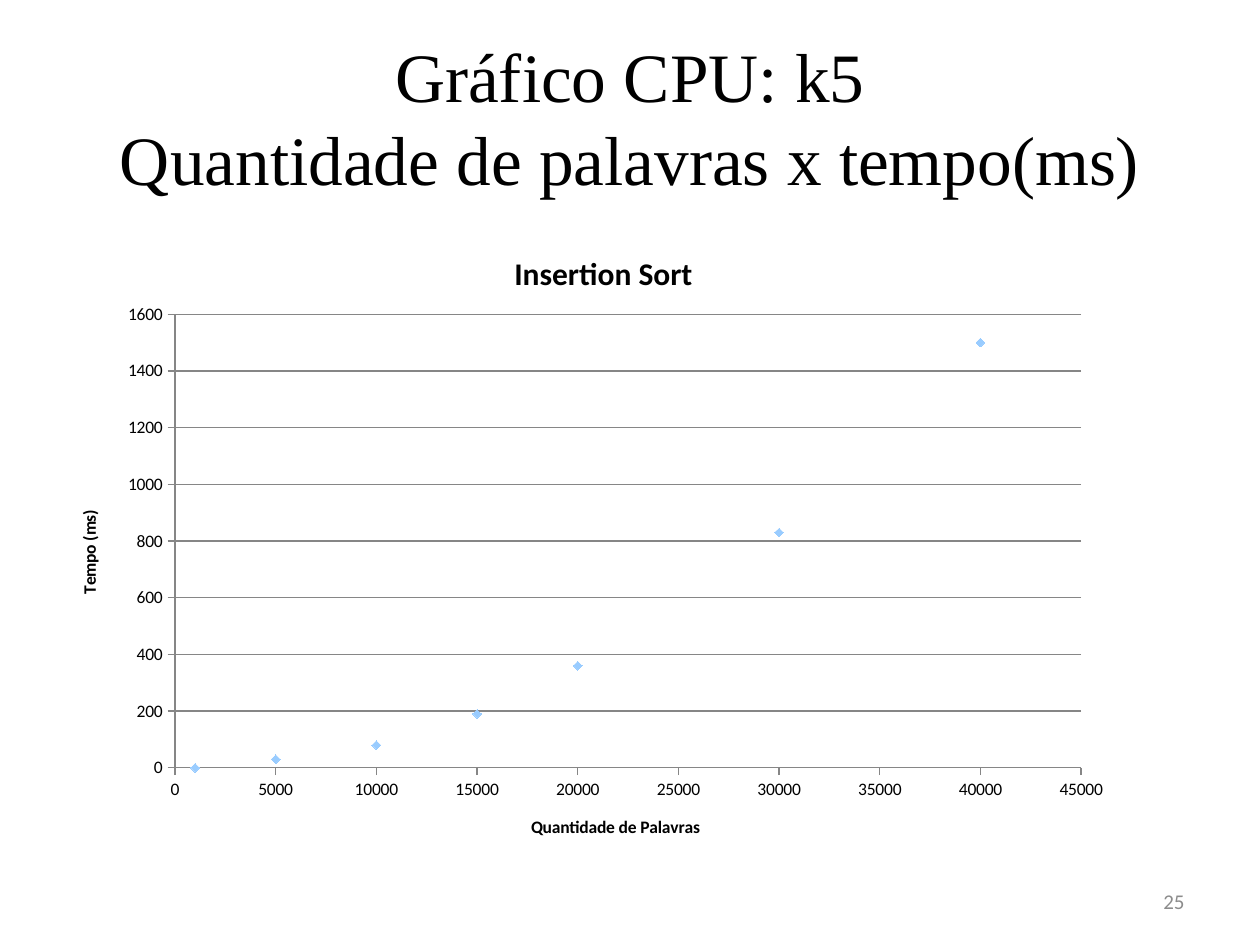
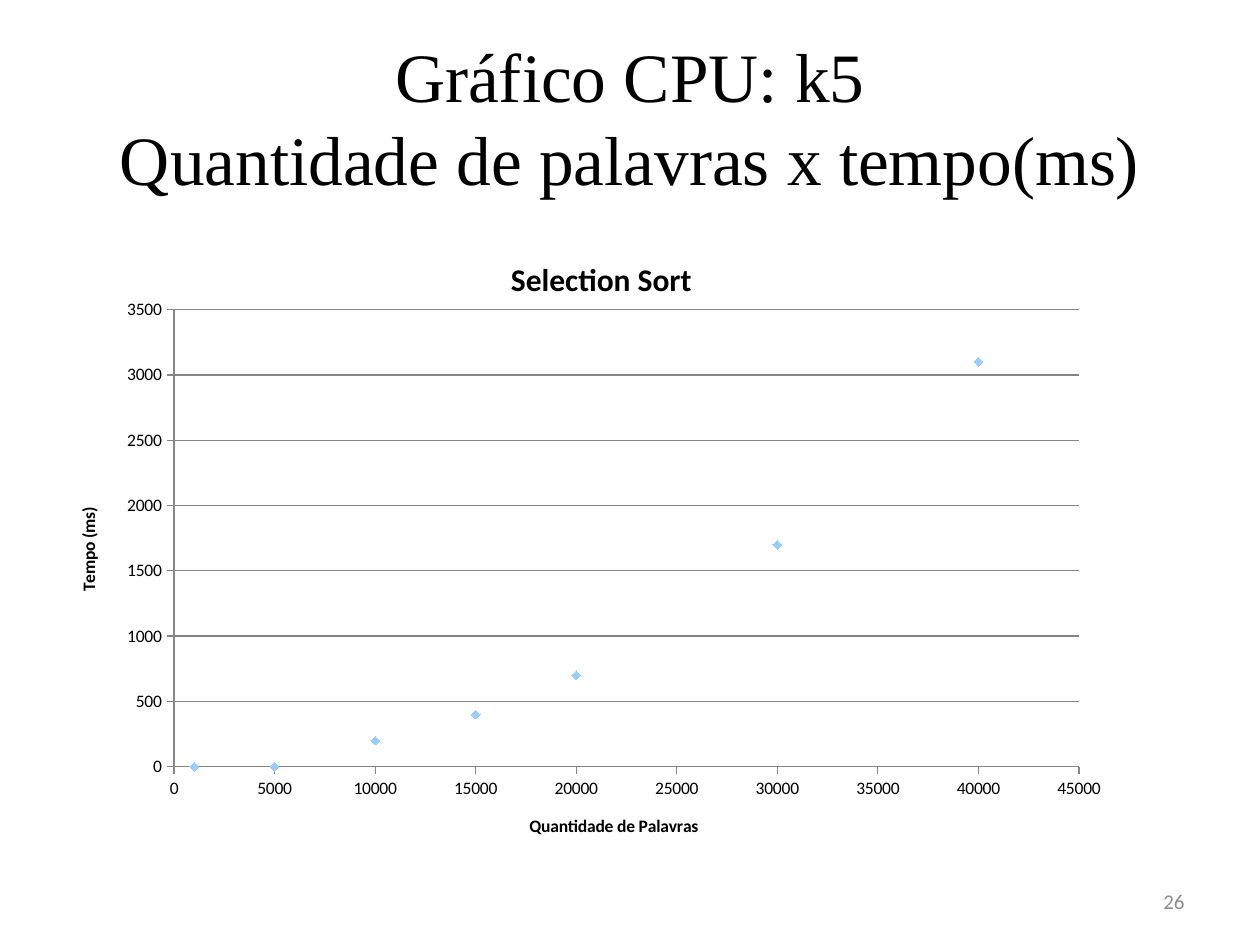
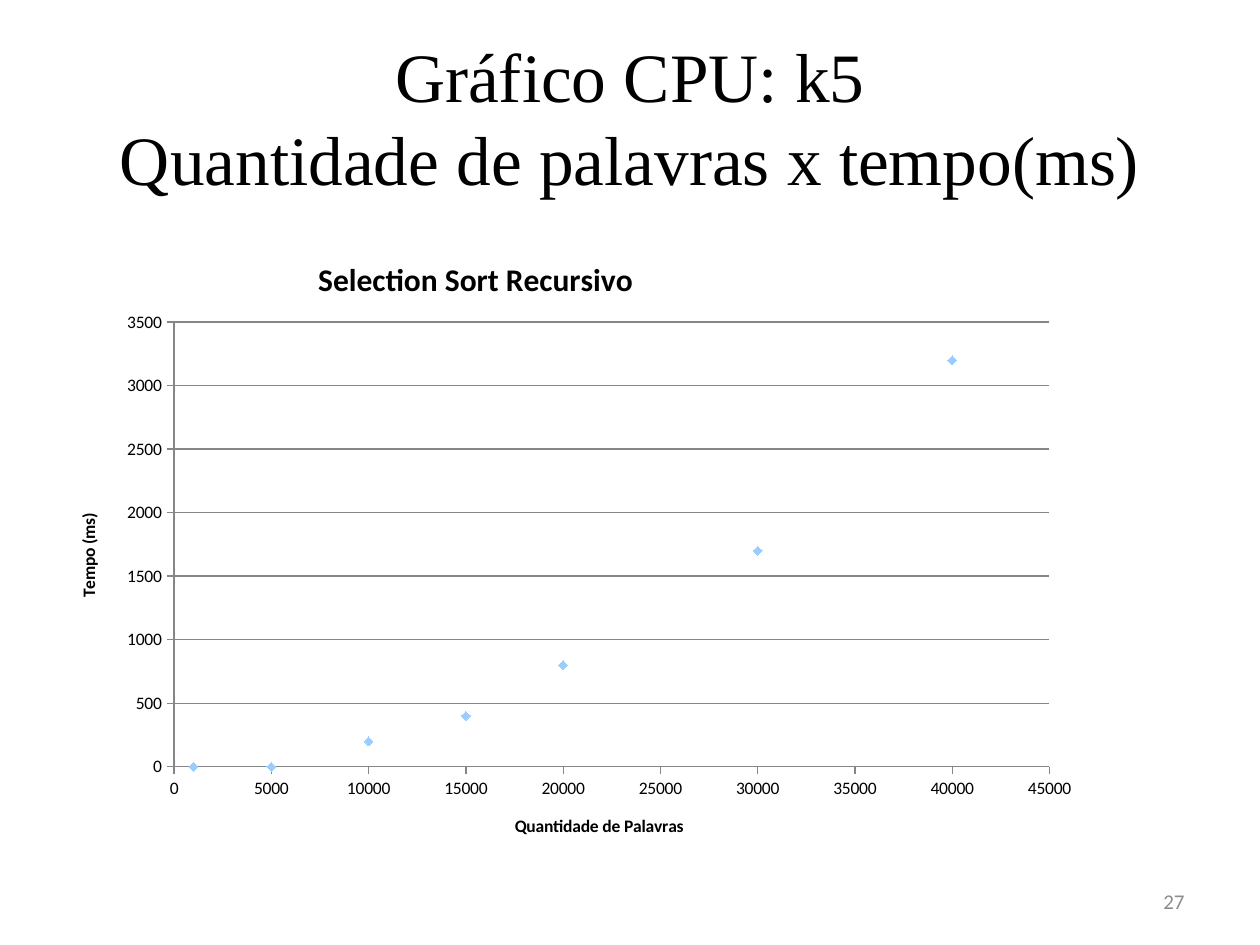
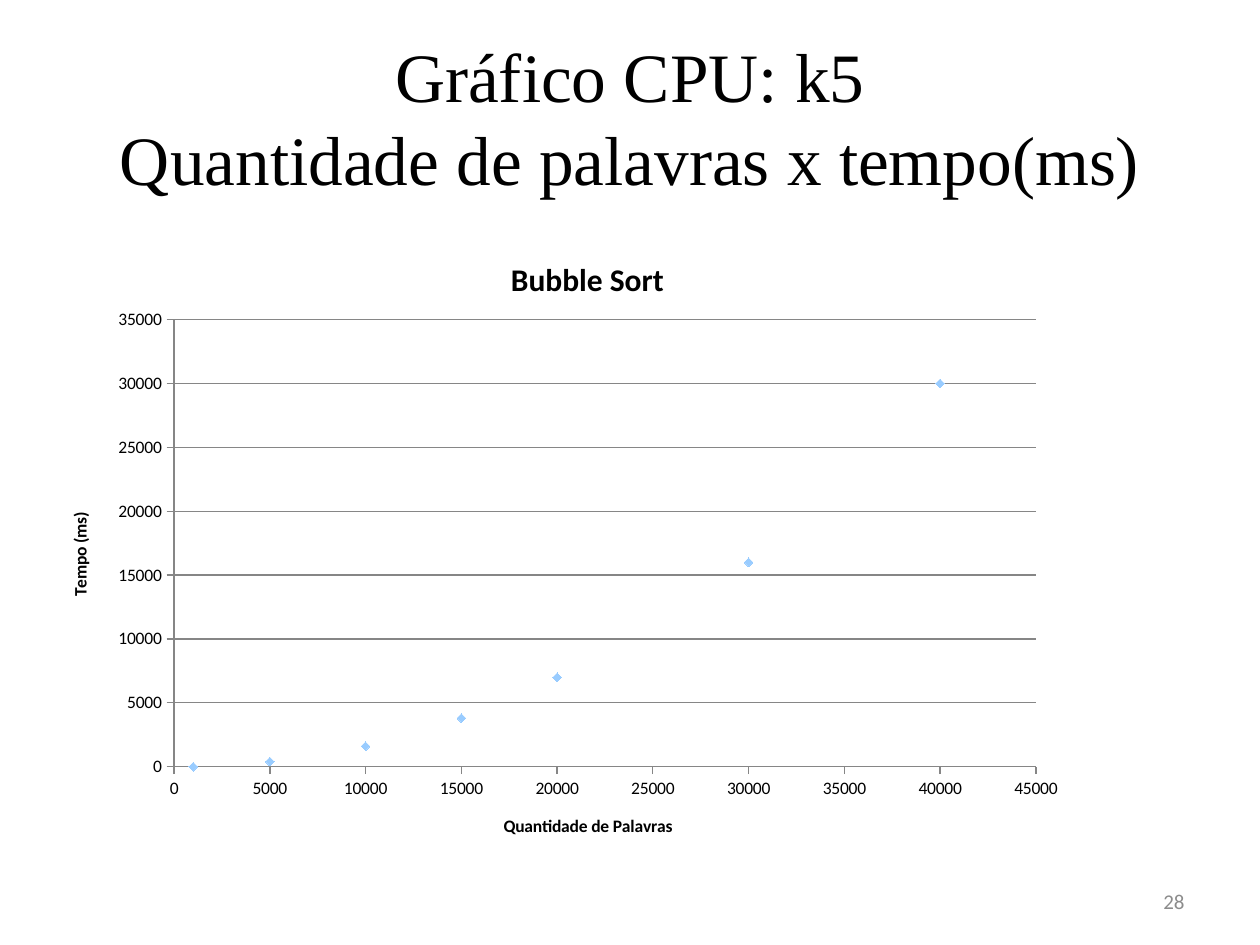
from dataclasses import dataclass

from lxml import etree
from pptx import Presentation
from pptx.chart.data import XyChartData
from pptx.dml.color import RGBColor
from pptx.enum.chart import XL_CHART_TYPE, XL_MARKER_STYLE, XL_TICK_MARK
from pptx.enum.text import MSO_ANCHOR, PP_ALIGN
from pptx.oxml.ns import qn
from pptx.util import Inches, Pt

SCATTER = XL_CHART_TYPE.XY_SCATTER
DIAMOND = XL_MARKER_STYLE.DIAMOND
TICK_OUTSIDE = XL_TICK_MARK.OUTSIDE
MIDDLE = MSO_ANCHOR.MIDDLE
CENTER = PP_ALIGN.CENTER
RIGHT = PP_ALIGN.RIGHT


@dataclass(frozen=True)
class Theme:
    """Colours, fonts and type sizes shared by all slides."""
    ink: RGBColor = RGBColor(0x00, 0x00, 0x00)
    muted: RGBColor = RGBColor(0x8C, 0x8C, 0x8C)
    grid: RGBColor = RGBColor(0x86, 0x86, 0x86)
    marker: RGBColor = RGBColor(0x99, 0xCC, 0xFF)
    title_font: str = "Times New Roman"
    body_font: str = "Calibri"
    title_size: float = 39.6
    chart_title_size: float = 18
    number_size: float = 12
    axis_size: float = 10
    marker_size: int = 5


@dataclass(frozen=True)
class Measurement:
    """Timings of one sorting algorithm and the layout of its chart."""
    name: str
    times: tuple
    time_limit: int
    time_step: int
    box: tuple
    plot: tuple
    title_left: float


THEME = Theme()
PAGE_TITLE = "Gráfico CPU: k5\vQuantidade de palavras x tempo(ms)"
WORD_COUNTS = (1000, 5000, 10000, 15000, 20000, 30000, 40000)
WORD_LIMIT, WORD_STEP = 45000, 5000
FIRST_PAGE_NUMBER = 25
TITLE_BOX = (0.5, 0.3, 9, 1.25)
NUMBER_BOX = (7.17, 6.95, 2.33, 0.4)
CHART_BOX = (0.5, 1.75, 9, 4.95)
CHART_TITLE_TOP = 0.05

MEASUREMENTS = (
    Measurement("Insertion Sort", (0, 30, 80, 190, 360, 830, 1500), 1600, 200,
                (0.5, 1.7, 9.07, 5), (0.098, 0.159, 0.793, 0.72), 0.39),
    Measurement("Selection Sort", (0, 0, 200, 400, 700, 1700, 3100), 3500, 500,
                CHART_BOX, (0.098, 0.143, 0.798, 0.733), 0.39),
    Measurement("Selection Sort Recursivo", (0, 0, 200, 400, 800, 1700, 3200), 3500, 500,
                CHART_BOX, (0.098, 0.163, 0.772, 0.713), 0.22),
    Measurement("Bubble Sort", (0, 400, 1600, 3800, 7000, 16000, 30000), 35000, 5000,
                CHART_BOX, (0.098, 0.159, 0.76, 0.717), 0.39),
)


def to_inches(box):
    """Convert a box of plain numbers to lengths."""
    return [Inches(length) for length in box]


def style_font(font, size, color, name, bold=False):
    """Apply one complete type style."""
    font.size, font.name, font.bold = Pt(size), name, bold
    font.color.rgb = color


def add_text(page, box, text, align, size, color, name):
    """Add vertically centred text to the box."""
    frame = page.shapes.add_textbox(*to_inches(box)).text_frame
    frame.word_wrap = True
    frame.vertical_anchor = MIDDLE
    frame.margin_top = frame.margin_bottom = 0
    frame.text = text
    para = frame.paragraphs[0]
    para.alignment = align
    for span in para.runs:
        style_font(span.font, size, color, name)


def set_layout(parent, position, **settings):
    """Write a manual layout into a chart element at the child position."""
    layout = parent.find(qn("c:layout"))
    if layout is None:
        layout = etree.Element(qn("c:layout"))
        parent.insert(position, layout)
    manual = etree.SubElement(layout, qn("c:manualLayout"))
    for tag, value in settings.items():
        etree.SubElement(manual, qn(f"c:{tag}")).set("val", str(value))


def set_chart_text(holder, text, size):
    """Give a chart or axis its bold title."""
    frame = holder.text_frame
    frame.text = text
    style_font(frame.paragraphs[0].runs[0].font, size, THEME.ink, THEME.body_font, True)


def style_axis(axis, title, limit, step, gridlines):
    """Set the scale, lines and title of an axis."""
    axis.minimum_scale, axis.maximum_scale, axis.major_unit = 0, limit, step
    axis.major_tick_mark = TICK_OUTSIDE
    axis.has_major_gridlines = gridlines
    lines = [axis.format.line]
    if gridlines:
        lines.append(axis.major_gridlines.format.line)
    for line in lines:
        line.color.rgb = THEME.grid
        line.width = Pt(0.75)
    axis.tick_labels.number_format = "General"
    axis.tick_labels.number_format_is_linked = False
    set_chart_text(axis.axis_title, title, THEME.axis_size)


def add_scatter(page, box, measurement):
    """Plot the measured times against the word counts in the box."""
    data = XyChartData()
    points = data.add_series("Series 1")
    for count, time in zip(WORD_COUNTS, measurement.times):
        points.add_data_point(count, time)
    chart = page.shapes.add_chart(SCATTER, *to_inches(box), data).chart
    chart.has_legend = False
    style_font(chart.font, THEME.axis_size, THEME.ink, THEME.body_font)

    set_chart_text(chart.chart_title, measurement.name, THEME.chart_title_size)
    title = chart.chart_title._element
    set_layout(title, 1, xMode="edge", yMode="edge",
               x=measurement.title_left, y=CHART_TITLE_TOP)
    title.find(qn("c:overlay")).set("val", "1")
    left, top, width, height = measurement.plot
    set_layout(chart._chartSpace.chart.plotArea, 0, layoutTarget="inner",
               xMode="edge", yMode="edge", x=left, y=top, w=width, h=height)

    style_axis(chart.category_axis, "Quantidade de Palavras", WORD_LIMIT, WORD_STEP, False)
    style_axis(chart.value_axis, "Tempo (ms)", measurement.time_limit,
               measurement.time_step, True)
    chart.plots[0].vary_by_categories = False
    series = chart.plots[0].series[0]
    series.smooth = False
    series.format.line.fill.background()
    series.marker.style = DIAMOND
    series.marker.size = THEME.marker_size
    series.marker.format.fill.solid()
    series.marker.format.fill.fore_color.rgb = THEME.marker
    series.marker.format.line.fill.background()


def add_chart_page(deck, number, measurement):
    """Add a page with its title, scatter chart and page number."""
    page = deck.slides.add_slide(deck.slide_layouts[6])
    add_text(page, TITLE_BOX, PAGE_TITLE, CENTER, THEME.title_size, THEME.ink,
             THEME.title_font)
    add_scatter(page, measurement.box, measurement)
    add_text(page, NUMBER_BOX, str(number), RIGHT, THEME.number_size, THEME.muted,
             THEME.body_font)


def main():
    """Build and save the deck."""
    deck = Presentation()
    deck.slide_width, deck.slide_height = Inches(10), Inches(7.5)
    for number, measurement in enumerate(MEASUREMENTS, FIRST_PAGE_NUMBER):
        add_chart_page(deck, number, measurement)
    deck.save("out.pptx")


if __name__ == "__main__":
    main()
